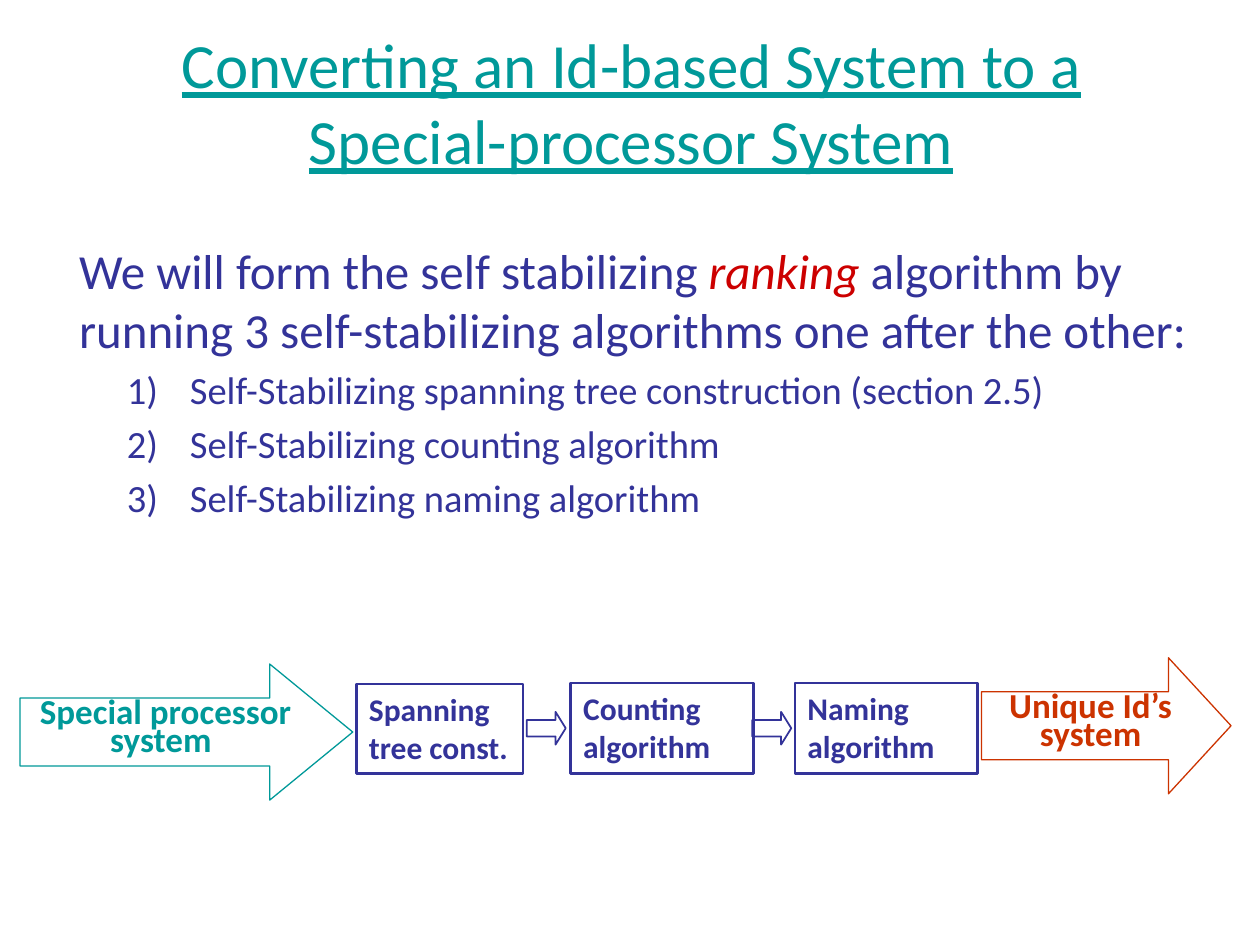
from lxml import etree
from pptx import Presentation
from pptx.dml.color import RGBColor
from pptx.enum.shapes import MSO_SHAPE
from pptx.enum.text import MSO_ANCHOR, PP_ALIGN
from pptx.oxml.ns import qn
from pptx.util import Inches, Pt

ARROW, RECTANGLE = MSO_SHAPE.RIGHT_ARROW, MSO_SHAPE.RECTANGLE
TOP, MIDDLE = MSO_ANCHOR.TOP, MSO_ANCHOR.MIDDLE
LEFT, CENTER = PP_ALIGN.LEFT, PP_ALIGN.CENTER
TEAL, NAVY, RED, RUST = "009999", "333399", "CC0000", "CC3300"
FONT = "Calibri"


def color(value):
    return RGBColor.from_string(value)


def write(para, text, size=18, fill=NAVY, bold=False, italic=False, underline=False):
    span = para.add_run()
    span.text = text
    font = span.font
    font.name, font.size = FONT, Pt(size)
    font.bold, font.italic, font.underline = bold, italic, underline
    font.color.rgb = color(fill)


def layout(para, align=LEFT, margin=0, indent=0, before=0, spacing=None, numbered=False):
    para.alignment = align
    para.space_before = Pt(before)
    para.line_spacing = spacing
    properties = para._p.get_or_add_pPr()
    properties.set("marL", str(Inches(margin)))
    properties.set("indent", str(Inches(indent)))
    if numbered:
        etree.SubElement(properties, qn("a:buFont")).set("typeface", FONT)
        etree.SubElement(properties, qn("a:buAutoNum")).set("type", "arabicParenR")


class SlideBuilder:
    """Draws text boxes, process boxes and block arrows on one slide."""

    def __init__(self, page):
        self.page = page

    def text_box(self, left, top, width, height, anchor=TOP):
        box = self.page.shapes.add_textbox(*map(Inches, (left, top, width, height)))
        frame = box.text_frame
        frame.word_wrap = True
        frame.vertical_anchor = anchor
        return frame

    def outline(self, kind, left, top, width, height, line, weight):
        shape = self.page.shapes.add_shape(kind, *map(Inches, (left, top, width, height)))
        shape.shadow.inherit = False
        shape.fill.background()
        shape.line.color.rgb = color(line)
        shape.line.width = Pt(weight)
        return shape

    def lines(self, frame, texts, size, fill, **style):
        for index, text in enumerate(texts):
            para = frame.add_paragraph() if index else frame.paragraphs[0]
            layout(para, **style)
            write(para, text, size=size, fill=fill, bold=True)

    def process(self, left, top, width, height, texts):
        frame = self.outline(RECTANGLE, left, top, width, height, NAVY, 1.5).text_frame
        frame.word_wrap = True
        frame.vertical_anchor = TOP
        self.lines(frame, texts, 18, NAVY)

    def arrow(self, left, top, width, height, head, line, weight, texts=()):
        shape = self.outline(ARROW, left, top, width, height, line, weight)
        shape.adjustments[0], shape.adjustments[1] = 0.5, head
        frame = shape.text_frame
        frame.word_wrap = False
        frame.vertical_anchor = MIDDLE
        self.lines(frame, texts, 20, line, align=CENTER, margin=0.38, indent=-0.38,
                   before=4, spacing=0.5)


def main():
    deck = Presentation()
    deck.slide_width, deck.slide_height = Inches(10), Inches(7.5)
    builder = SlideBuilder(deck.slides.add_slide(deck.slide_layouts[6]))

    title = builder.text_box(0.51, 0.18, 9, 1.25, anchor=MIDDLE).paragraphs[0]
    layout(title, align=CENTER)
    write(title, "Converting an Id-based System to a Special-processor System",
          size=36, fill=TEAL, underline=True)

    body = builder.text_box(0.43, 1.86, 9.37, 5.09)
    intro = body.paragraphs[0]
    layout(intro, margin=0.1)
    write(intro, "We will form the self stabilizing ", size=28)
    write(intro, "ranking ", size=28, fill=RED, italic=True)
    write(intro, "algorithm by running 3 self-stabilizing algorithms one after the other:",
          size=28)
    for step in ("spanning tree construction (section 2.5)", "counting algorithm",
                 "naming algorithm"):
        para = body.add_paragraph()
        layout(para, margin=0.98, indent=-0.5, before=4.4, numbered=True)
        write(para, f"Self-Stabilizing {step}", size=22)

    builder.arrow(0.16, 5.27, 2.64, 1.08, 0.61, TEAL, 0.75, ("Special processor", "system\t"))
    builder.arrow(7.79, 5.22, 1.98, 1.08, 0.46, RUST, 0.75, ("Unique Id’s", "system"))
    builder.process(2.83, 5.43, 1.32, 0.71, ("Spanning", "tree const."))
    for left, name in ((4.53, "Counting"), (6.31, "Naming")):
        builder.process(left, 5.42, 1.45, 0.72, (name, "algorithm"))
    for left in (4.18, 5.97):
        builder.arrow(left, 5.65, 0.31, 0.26, 0.31, NAVY, 1)

    deck.save("out.pptx")


if __name__ == "__main__":
    main()
